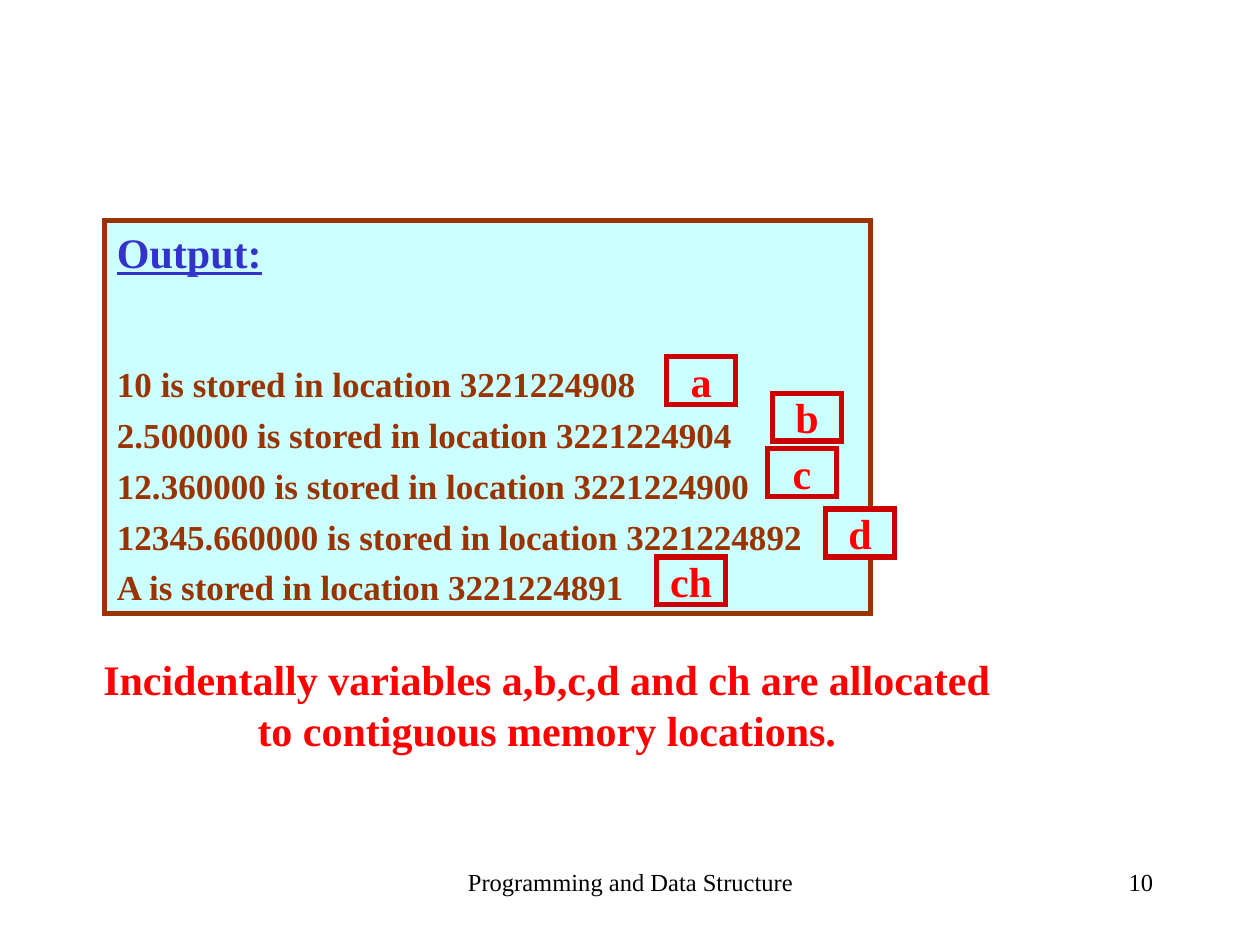
from typing import NamedTuple

from lxml.etree import SubElement
from pptx import Presentation
from pptx.dml.color import RGBColor
from pptx.enum.shapes import MSO_SHAPE as Shape
from pptx.enum.text import MSO_ANCHOR as Anchor
from pptx.enum.text import MSO_AUTO_SIZE as AutoSize
from pptx.enum.text import PP_ALIGN as Align
from pptx.oxml.ns import qn
from pptx.util import Inches, Pt

FONT = "Times New Roman"
BLACK = RGBColor(0x00, 0x00, 0x00)
BLUE = RGBColor(0x33, 0x33, 0xCC)
BROWN = RGBColor(0x99, 0x33, 0x00)
CYAN = RGBColor(0xCC, 0xFF, 0xFF)
CRIMSON = RGBColor(0xCC, 0x00, 0x00)
RED = RGBColor(0xFF, 0x00, 0x00)


class Area(NamedTuple):
    left: float
    top: float
    width: float
    height: float


class Line(NamedTuple):
    text: str
    size: int
    color: RGBColor
    bold: bool = True
    underline: bool = False
    before: int = 0


class Label(NamedTuple):
    name: str
    left: float
    top: float


OUTPUT = [
    Line("Output:", 24, BLUE, underline=True),
    Line("10 is stored in location 3221224908", 20, BROWN, before=49),
    Line("2.500000 is stored in location 3221224904", 20, BROWN, before=5),
    Line("12.360000 is stored in location 3221224900", 20, BROWN, before=5),
    Line("12345.660000 is stored in location 3221224892", 20, BROWN, before=5),
    Line("A is stored in location 3221224891", 20, BROWN, before=5),
]
REMARK = [
    Line("Incidentally variables a,b,c,d and ch are allocated", 24, RED),
    Line("to contiguous memory locations.", 24, RED),
]
LABELS = [
    Label("a", 5.29, 2.83),
    Label("b", 6.13, 3.12),
    Label("c", 6.09, 3.56),
    Label("d", 6.55, 4.04),
    Label("ch", 5.21, 4.42),
]


def write(box, lines: list[Line], align: Align, wrap: bool = True,
          anchor: Anchor = Anchor.TOP, grow: bool = False) -> None:
    frame = box.text_frame
    frame.word_wrap = wrap
    frame.vertical_anchor = anchor
    frame.auto_size = AutoSize.SHAPE_TO_FIT_TEXT if grow else AutoSize.NONE
    for index, line in enumerate(lines):
        para = frame.add_paragraph() if index else frame.paragraphs[0]
        para.alignment = align
        if line.before:
            para.space_before = Pt(line.before)
        span = para.add_run()
        span.text = line.text
        span.font.name = FONT
        span.font.size = Pt(line.size)
        span.font.bold = line.bold
        span.font.underline = line.underline
        span.font.color.rgb = line.color


def add_text(page, area: Area):
    return page.shapes.add_textbox(*map(Inches, area))


def add_panel(page, area: Area, border: RGBColor):
    box = page.shapes.add_shape(Shape.RECTANGLE, *map(Inches, area))
    box.shadow.inherit = False
    box.fill.solid()
    box.fill.fore_color.rgb = CYAN
    box.line.color.rgb = border
    box.line.width = Pt(3)
    # Square border corners
    outline = box.element.spPr.find(qn("a:ln"))
    SubElement(outline, qn("a:miter"), lim="800000")
    return box


def main() -> None:
    deck = Presentation()
    deck.slide_width, deck.slide_height = Inches(10), Inches(7.5)
    page = deck.slides.add_slide(deck.slide_layouts[6])

    # Footer and page number
    write(add_text(page, Area(3.42, 6.83, 3.17, 0.5)),
          [Line("Programming and Data Structure", 14, BLACK, bold=False)],
          Align.CENTER)
    write(add_text(page, Area(7.17, 6.83, 2.08, 0.5)),
          [Line("10", 14, BLACK, bold=False)], Align.RIGHT)

    # Program output
    write(add_panel(page, Area(0.83, 1.75, 6.08, 3.12), BROWN),
          OUTPUT, Align.LEFT, grow=True)

    # Remark below the output
    write(add_text(page, Area(0.72, 5.14, 7.24, 0.9)),
          REMARK, Align.CENTER, wrap=False, grow=True)

    # Variable names beside their output lines
    for label in LABELS:
        box = add_panel(page, Area(label.left, label.top, 0.55, 0.38), CRIMSON)
        write(box, [Line(label.name, 24, RED)], Align.CENTER,
              wrap=False, anchor=Anchor.MIDDLE)

    deck.save("out.pptx")


if __name__ == "__main__":
    main()
